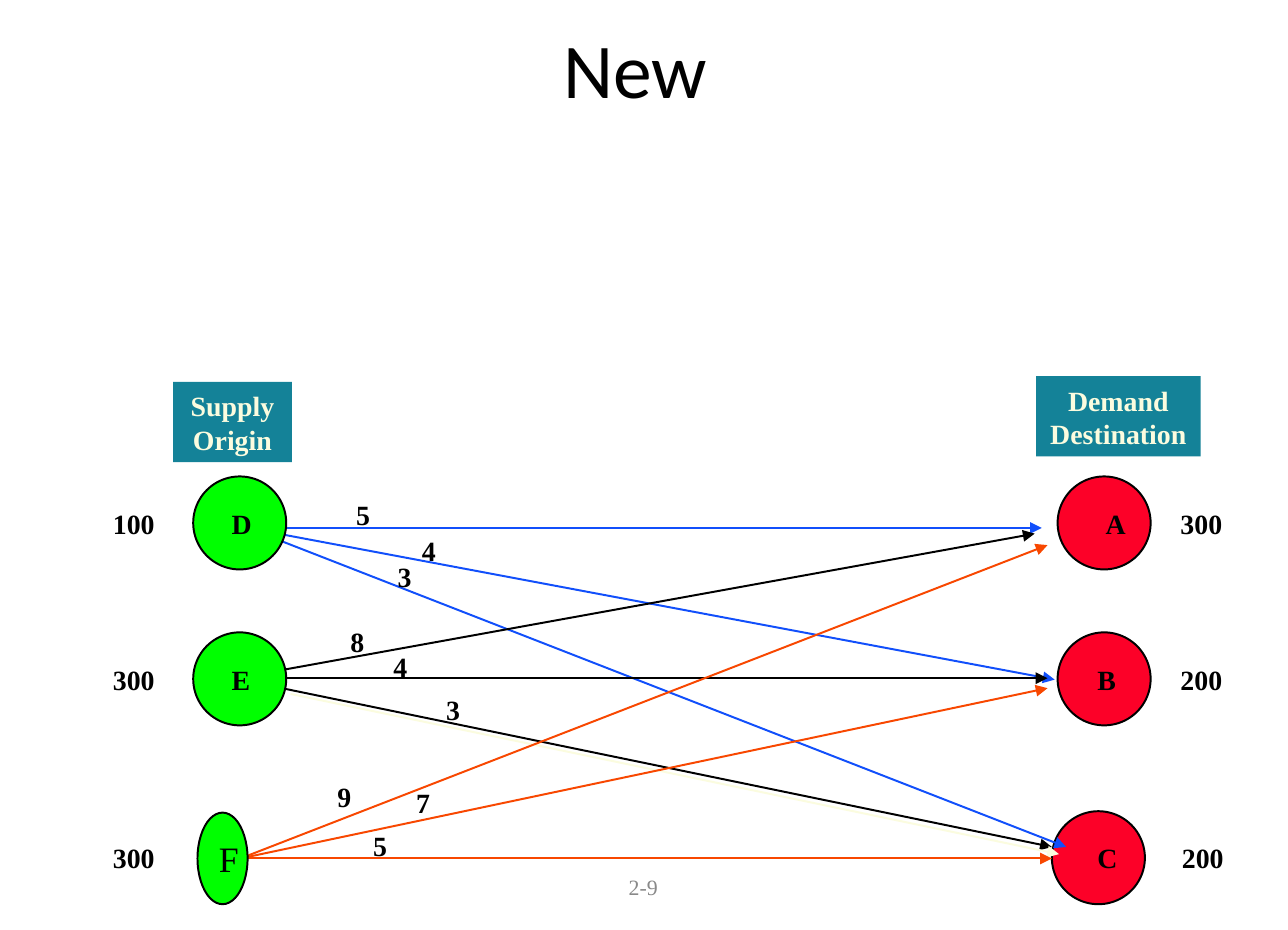
from typing import NamedTuple

import pptx
import pptx.dml.color
import pptx.enum.shapes
import pptx.enum.text
import pptx.oxml
import pptx.oxml.ns
import pptx.util

RGBColor = pptx.dml.color.RGBColor
MSO_SHAPE = pptx.enum.shapes.MSO_SHAPE
ALIGN = pptx.enum.text.PP_ALIGN
ANCHOR = pptx.enum.text.MSO_ANCHOR
AUTO_SIZE = pptx.enum.text.MSO_AUTO_SIZE

BLACK = RGBColor(0x00, 0x00, 0x00)
GRAY = RGBColor(0x89, 0x89, 0x89)
TEAL = RGBColor(0x14, 0x82, 0x98)
CREAM = RGBColor(0xFB, 0xFC, 0xDF)
RED = RGBColor(0xFC, 0x01, 0x28)
GREEN = RGBColor(0x00, 0xFF, 0x00)
BLUE = RGBColor(0x11, 0x4F, 0xFB)
ORANGE = RGBColor(0xF8, 0x47, 0x00)

SLIDE_WIDTH = pptx.util.Inches(9)
SLIDE_HEIGHT = pptx.util.Inches(6.5)
COLUMN = SLIDE_WIDTH / 90
ROW = SLIDE_HEIGHT / 65
NODE_SIZE = 6.5
LABEL_HEIGHT = 3.3
LABEL_DROP = 1.6
NODE_ROWS = (0, 10.9, 23.4)


class Box(NamedTuple):
    """An area in grid columns and rows."""
    left: float
    top: float
    width: float
    height: float

    def inner(self, left, top, width, height):
        """Return an area offset from this one's top left corner."""
        return Box(self.left + left, self.top + top, width, height)

    def lengths(self):
        """Return the area in slide units."""
        return (round(self.left * COLUMN), round(self.top * ROW),
                round(self.width * COLUMN), round(self.height * ROW))


def write(shape, text, *, size=14, font="Times New Roman", color=BLACK, bold=True,
          align=ALIGN.LEFT, anchor=ANCHOR.TOP, inset=(0.1, 0.05), wrap=False, grow=True):
    """Fill a shape with formatted text, one paragraph per line."""
    frame = shape.text_frame
    frame.text = text
    frame.word_wrap = wrap
    frame.auto_size = AUTO_SIZE.SHAPE_TO_FIT_TEXT if grow else AUTO_SIZE.NONE
    frame.vertical_anchor = anchor
    frame.margin_left = frame.margin_right = pptx.util.Inches(inset[0])
    frame.margin_top = frame.margin_bottom = pptx.util.Inches(inset[1])
    for paragraph in frame.paragraphs:
        paragraph.alignment = align
        for run in paragraph.runs:
            run.font.size = pptx.util.Pt(size)
            run.font.name = font
            run.font.bold = bold
            run.font.color.rgb = color


def add_label(slide, box, text, **text_format):
    """Place plain text in a box."""
    label = slide.shapes.add_textbox(*box.lengths())
    write(label, text, **text_format)
    return label


def add_filled(slide, box, preset, fill, outline=None):
    """Place a filled preset shape with an optional outline."""
    filled = slide.shapes.add_shape(preset, *box.lengths())
    filled.shadow.inherit = False
    filled.fill.solid()
    filled.fill.fore_color.rgb = fill
    if outline is None:
        filled.line.fill.background()
    else:
        filled.line.color.rgb = outline
        filled.line.width = pptx.util.Pt(1)
    return filled


def add_arrow(slide, box, start, end, color):
    """Draw an arrow between two points measured from the box's corner."""
    (left, top, *_), (right, bottom, *_) = (
        box.inner(*point, 0, 0).lengths() for point in (start, end))
    arrow = slide.shapes.add_connector(
        pptx.enum.shapes.MSO_CONNECTOR.STRAIGHT, left, top, right, bottom)
    arrow.line.color.rgb = color
    arrow.line.width = pptx.util.Pt(1)
    qn = pptx.oxml.ns.qn
    arrow.line._get_or_add_ln().append(pptx.oxml.parse_xml(
        f'<a:tailEnd {pptx.oxml.ns.nsdecls("a")} type="triangle"/>'))
    arrow._element.spPr.append(arrow._element.makeelement(qn("a:effectLst"), {}))


def draw_title(slide, box):
    """Write the title, followed by an empty line of the same size."""
    title = add_label(slide, box, "New \v", size=39, font="Calibri", bold=False,
                      align=ALIGN.CENTER, anchor=ANCHOR.MIDDLE, inset=(0.09, 0.04),
                      wrap=True, grow=False)
    qn = pptx.oxml.ns.qn
    line = title.text_frame.paragraphs[0]._p
    size = {"sz": "3900"}
    line_break = line.find(qn("a:br"))
    line_break.append(line.makeelement(qn("a:rPr"), size))
    line.append(line.makeelement(qn("a:endParaRPr"), size))


def draw_page_number(slide, box):
    """Write the page number."""
    add_label(slide, box, "2-9", size=11, color=GRAY, bold=False, align=ALIGN.CENTER,
              anchor=ANCHOR.MIDDLE, inset=(0.09, 0.04), wrap=True, grow=False)


def draw_heading(slide, box, text):
    """Draw the heading block above one side of the network."""
    heading = add_filled(slide, box, MSO_SHAPE.RECTANGLE, TEAL)
    write(heading, text, color=CREAM, align=ALIGN.CENTER)


def draw_node(slide, box, letter, fill, letter_left, letter_width, align=ALIGN.LEFT):
    """Draw a circle with its letter."""
    add_filled(slide, box, MSO_SHAPE.OVAL, fill, BLACK)
    add_label(slide, box.inner(letter_left, LABEL_DROP, letter_width, LABEL_HEIGHT),
              letter, align=align)


def draw_amounts(slide, box, amounts, lefts):
    """Write one amount beside each node row."""
    for amount, left, row in zip(amounts, lefts, NODE_ROWS):
        add_label(slide, box.inner(left, row + LABEL_DROP, 4.9, LABEL_HEIGHT), amount)


def draw_demand(slide, box):
    """Draw the destinations and their demand."""
    destinations = (("A ", 0.4, 2.3, 3.9, ALIGN.CENTER),
                    ("B", 0.4, 1.8, 3.3, ALIGN.LEFT),
                    ("C", 0, 2.2, 3.4, ALIGN.LEFT))
    for (letter, left, *letter_place), row in zip(destinations, NODE_ROWS):
        draw_node(slide, box.inner(left, row, NODE_SIZE, NODE_SIZE), letter, RED,
                  *letter_place)
    draw_amounts(slide, box, ("300", "200", "200"), (8, 8, 8.1))


def draw_supply(slide, box):
    """Draw the origins and their supply."""
    node_left = 6.6
    for letter, width, row in zip("DE", (3.4, 3.3), NODE_ROWS):
        draw_node(slide, box.inner(node_left, row, NODE_SIZE, NODE_SIZE), letter, GREEN,
                  1.7, width)
    last_origin = add_filled(slide, box.inner(node_left + 0.3, NODE_ROWS[2] + 0.1, 3.5, 6.4),
                             MSO_SHAPE.OVAL, GREEN, BLACK)
    write(last_origin, "F", size=18, bold=False, anchor=ANCHOR.MIDDLE, grow=False)
    draw_amounts(slide, box, ("100", "300", "300"), (0, 0, 0))


def draw_routes(slide, box):
    """Draw the arrows from origins to destinations with their unit costs."""
    routes = (
        (BLUE, (4.6, 3.6), (59.3, 3.6), "5", (10.4, 1)),
        (BLUE, (3.8, 3.6), (60.2, 14.2), "4", (15, 3.5)),
        (BLUE, (3.8, 3.6), (61, 25.9), "3", (13.3, 5.3)),
        (BLACK, (2.5, 14.2), (58.8, 4), "8", (10, 9.9)),
        (BLACK, (2.5, 14.1), (59.7, 14.1), "4", (13, 11.6)),
        (BLACK, (3.3, 14.2), (60, 25.9), None, None),
        (CREAM, (6.8, 15.2), (60.5, 26.4), "3", (16.7, 14.6)),
        (ORANGE, (3.3, 26.7), (59.7, 4.8), "9", (9.1, 20.7)),
        (ORANGE, (3.3, 26.7), (59.7, 14.8), "7", (14.6, 21.1)),
        (ORANGE, (3.3, 26.7), (60, 26.7), "5", (11.6, 24.1)),
    )
    for color, start, end, cost, cost_place in routes:
        add_arrow(slide, box, start, end, color)
        if cost:
            add_label(slide, box.inner(*cost_place, 3, LABEL_HEIGHT), cost)


def main():
    """Build the slide and save it."""
    deck = pptx.Presentation()
    deck.slide_width, deck.slide_height = SLIDE_WIDTH, SLIDE_HEIGHT
    slide = deck.slides.add_slide(deck.slide_layouts[6])
    draw_title(slide, Box(4.5, 2.6, 81, 10.8))
    draw_page_number(slide, Box(30.7, 60.2, 28.5, 3.5))
    draw_heading(slide, Box(12.1, 26.7, 8.3, 5.6), "Supply \nOrigin")
    draw_heading(slide, Box(72.4, 26.3, 11.5, 5.6), "Demand\nDestination")
    draw_demand(slide, Box(73.5, 33.3, 13, 29.9))
    draw_routes(slide, Box(13.5, 33.3, 61, 29.9))
    draw_supply(slide, Box(6.9, 33.3, 13.1, 29.9))
    deck.save("out.pptx")


if __name__ == "__main__":
    main()
